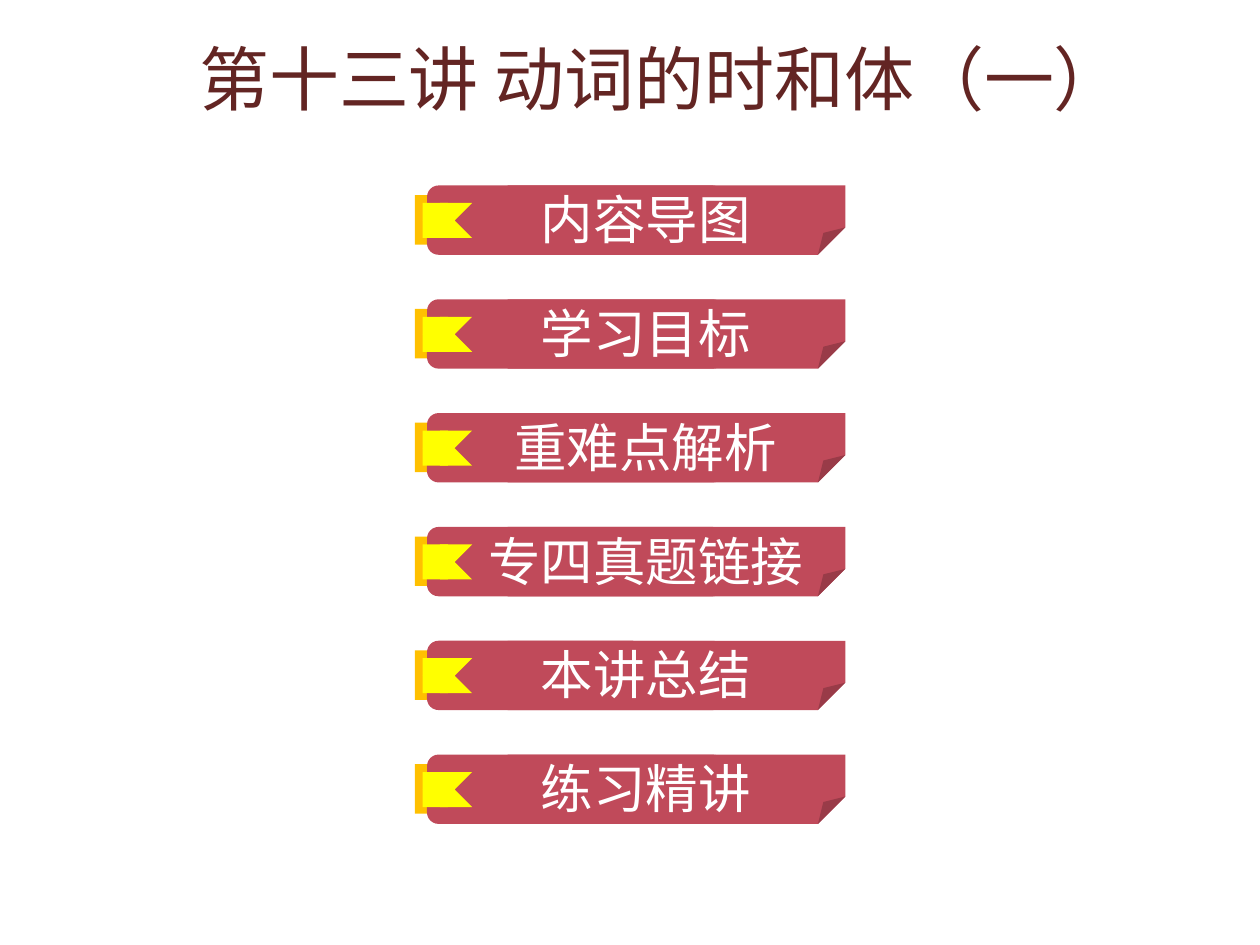
from pptx import Presentation
from pptx.dml.color import RGBColor
from pptx.enum.shapes import MSO_SHAPE as Shape
from pptx.enum.text import MSO_ANCHOR as Anchor, PP_ALIGN as Align
from pptx.oxml.ns import qn
from pptx.util import Pt
from lxml import etree

MAROON = RGBColor(0x63, 0x25, 0x23)
CRIMSON = RGBColor(0xC0, 0x4A, 0x5A)
AMBER = RGBColor(0xFF, 0xC0, 0x00)
YELLOW = RGBColor(0xFF, 0xFF, 0x00)
WHITE = RGBColor(0xFF, 0xFF, 0xFF)
FONT = "Noto Sans CJK SC"

TOPICS = ["内容导图", "学习目标", "重难点解析", "专四真题链接", "本讲总结", "练习精讲"]
FIRST_TOP, PITCH = 106, 65.04
LABEL_CENTER, LABEL_SIZE = 369, 30

BANNER = [
    (Shape.RECTANGLE, 237, 5.5, 170, 28.3, AMBER),
    (Shape.ROUNDED_RECTANGLE, 244, 0, 170, 39.6, CRIMSON),
    (Shape.FOLDED_CORNER, 290, 0, 193, 39.6, CRIMSON),
    (Shape.CHEVRON, 241.6, 10, 28.2, 20, YELLOW),
    (Shape.RECTANGLE, 241.6, 10, 14.4, 20, YELLOW),
]


def add_label(shapes, text, left, top, width, height, align, size, color):
    frame = shapes.add_textbox(Pt(left), Pt(top), Pt(width), Pt(height)).text_frame
    layout = {"word_wrap": True, "vertical_anchor": Anchor.MIDDLE,
              "margin_left": 0, "margin_right": 0}
    for key, value in layout.items():
        setattr(frame, key, value)
    paragraph = frame.paragraphs[0]
    paragraph.alignment = align
    run = paragraph.add_run()
    run.text = text
    for key, value in {"name": FONT, "size": Pt(size)}.items():
        setattr(run.font, key, value)
    run.font.color.rgb = color
    etree.SubElement(run._r.get_or_add_rPr(), qn("a:ea")).set("typeface", FONT)


prs = Presentation()
prs.slide_width, prs.slide_height = Pt(720), Pt(540)
slide = prs.slides.add_slide(prs.slide_layouts[6])

add_label(slide.shapes, "第十三讲 动词的时和体（一）", 113.8, 16.6, 538, 55.4,
          Align.LEFT, 40, MAROON)

for index, topic in enumerate(TOPICS):
    top = FIRST_TOP + index * PITCH
    banner = slide.shapes.add_group_shape().shapes
    for kind, left, offset, width, height, color in BANNER:
        part = banner.add_shape(kind, Pt(left), Pt(top + offset), Pt(width), Pt(height))
        part.shadow.inherit = False
        part.fill.solid()
        part.fill.fore_color.rgb = color
        part.line.fill.background()
        geometry = part._element.spPr.find(qn("a:prstGeom"))
        if kind == Shape.FOLDED_CORNER:
            guides = geometry.find(qn("a:avLst"))
            for guide in list(guides):
                guides.remove(guide)
            fold = etree.SubElement(guides, qn("a:gd"))
            fold.set("name", "adj")
            fold.set("fmla", "val 39500")
        if kind == Shape.CHEVRON:
            part._element.spPr.find(qn("a:xfrm")).set("flipH", "1")
    label_width = len(topic) * LABEL_SIZE + 16
    add_label(banner, topic, LABEL_CENTER - label_width / 2, top - 3, label_width, 44,
              Align.CENTER, LABEL_SIZE, WHITE)

prs.save("out.pptx")
